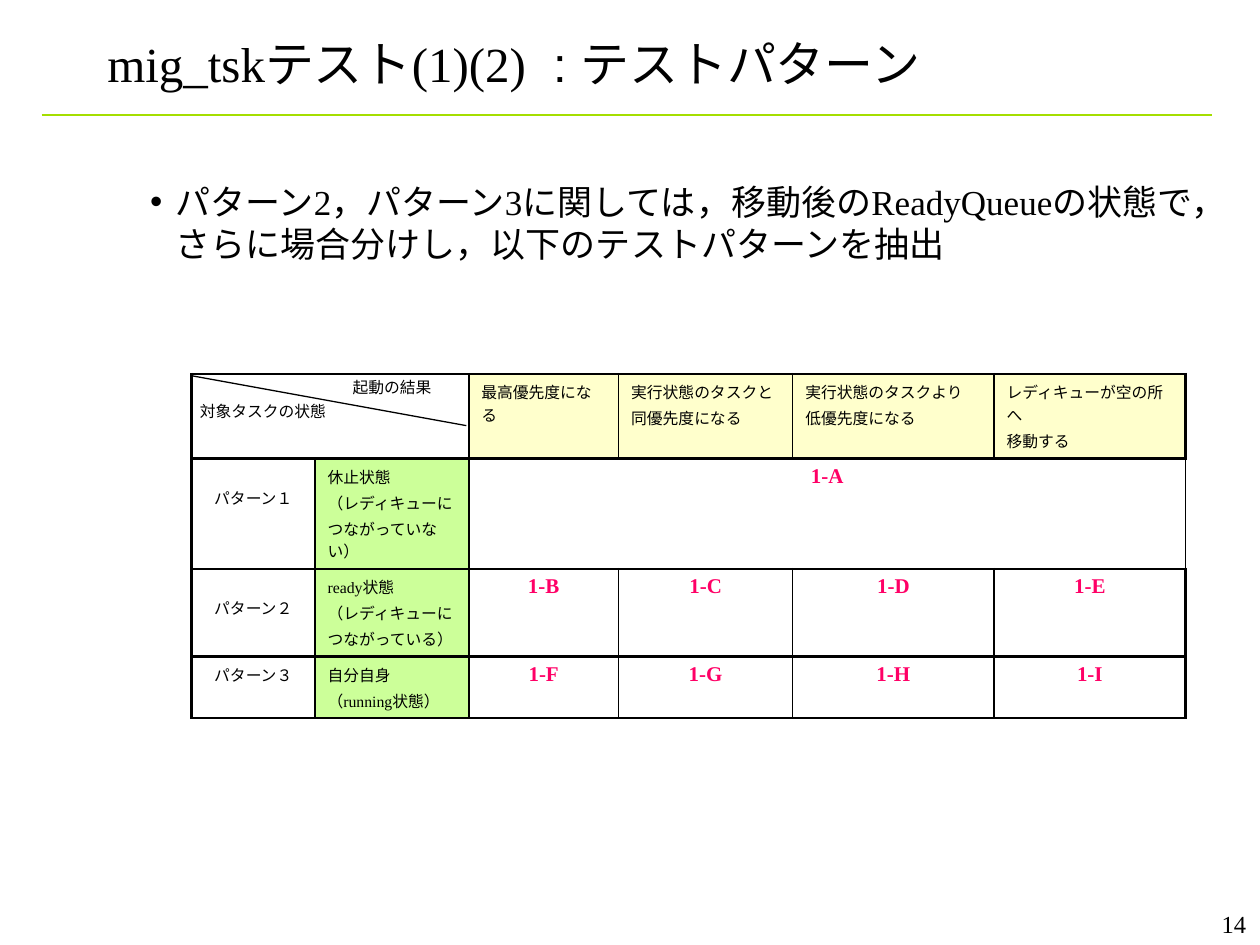
from lxml import etree
from pptx import Presentation
from pptx import util as u
from pptx.dml import color
from pptx.enum import shapes, text
from pptx.oxml import ns, xmlchemy

Cm, Pt = u.Cm, u.Pt
SERIF = "Times New Roman"
BLACK, PINK, YELLOW, GREEN, LIME = "000000", "FF0066", "FFFFCC", "CCFF99", "A4DE00"
LEFT, CENTER, RIGHT = text.PP_ALIGN.LEFT, text.PP_ALIGN.CENTER, text.PP_ALIGN.RIGHT

RESULTS = [
    ["最高優先度になる"],
    ["実行状態のタスクと", "同優先度になる"],
    ["実行状態のタスクより", "低優先度になる"],
    ["レディキューが空の所へ", "移動する"],
]
# pattern, its top margin in cm, task state, test cases
PATTERNS = [
    ("パターン１", 0.55, ["休止状態", "（レディキューに", "つながっていない）"], ["1-A"]),
    ("パターン２", 0.55, ["ready状態", "（レディキューに", "つながっている）"],
     ["1-B", "1-C", "1-D", "1-E"]),
    ("パターン３", 0.13, ["自分自身", "（running状態）"], ["1-F", "1-G", "1-H", "1-I"]),
]
COLUMN_WIDTHS = [2.49, 3.1, 3.02, 3.51, 4.06, 3.86]
ROW_HEIGHTS = [1.09, 1.55, 1.55, 1.12]


def rgb(hex_code):
    return color.RGBColor.from_string(hex_code)


def write(frame, paragraphs, size=9, hex_code=BLACK, bold=False, align=LEFT, before=0.0):
    """Fill a text frame; a paragraph is a string or a list of (string, font) runs."""
    for i, content in enumerate(paragraphs):
        paragraph = frame.paragraphs[0] if i == 0 else frame.add_paragraph()
        paragraph.alignment = align
        paragraph.space_before = Pt(size * before)
        runs = [(content, SERIF)] if isinstance(content, str) else content
        for words, font in runs:
            run = paragraph.add_run()
            run.text = words
            run.font.name = font
            run.font.size = Pt(size)
            run.font.bold = bold
            run.font.color.rgb = rgb(hex_code)


def place(shape, left, top, width, height):
    shape.left, shape.top, shape.width, shape.height = map(Cm, (left, top, width, height))


def add_label(slide, words, left, top, width, height, wrap=False, **style):
    label = slide.shapes.add_textbox(*map(Cm, (left, top, width, height)))
    label.text_frame.word_wrap = wrap
    write(label.text_frame, [words], **style)


def add_line(slide, x1, y1, x2, y2, hex_code, width):
    line = slide.shapes.add_connector(
        shapes.MSO_CONNECTOR.STRAIGHT, *map(Cm, (x1, y1, x2, y2)))
    line.line.color.rgb = rgb(hex_code)
    line.line.width = Pt(width)
    etree.SubElement(line._element.spPr, ns.qn("a:effectLst"))


def add_heading(slide, left, top, width, height):
    title = slide.shapes.title
    place(title, left, top, width, height)
    frame = title.text_frame
    frame.vertical_anchor = text.MSO_ANCHOR.MIDDLE
    frame.auto_size = text.MSO_AUTO_SIZE.NONE
    write(frame, [[("mig_tskテスト(1)(2)", SERIF), ("  : ", "Arial"),
                   ("テストパターン", SERIF)]], size=28)
    add_line(slide, 0.84, top + 1.68, 24.43, top + 1.68, LIME, 1.5)


def add_summary(slide, left, top, width, height):
    summary = slide.placeholders[1]
    place(summary, left, top, width, height)
    frame = summary.text_frame
    frame.auto_size = text.MSO_AUTO_SIZE.NONE
    write(frame, ["パターン2，パターン3に関しては，移動後のReadyQueueの状態で，"
                  "さらに場合分けし，以下のテストパターンを抽出"], size=20, before=0.2)
    properties = frame.paragraphs[0]._p.get_or_add_pPr()
    properties.set("marL", str(Cm(0.51)))
    properties.set("indent", str(-Cm(0.51)))
    etree.SubElement(properties, ns.qn("a:buChar")).set("char", "•")


def draw_borders(cell, widths):
    """Draw black borders, widths in points in the order left, right, top, bottom."""
    properties = cell._tc.get_or_add_tcPr()
    for i, (side, width) in enumerate(zip(("lnL", "lnR", "lnT", "lnB"), widths)):
        border = etree.Element(ns.qn(f"a:{side}"), w=str(Pt(width)))
        fill = etree.SubElement(border, ns.qn("a:solidFill"))
        etree.SubElement(fill, ns.qn("a:srgbClr"), val=BLACK)
        properties.insert(i, border)


def paint(cell, hex_code, alpha=None):
    cell.fill.solid()
    cell.fill.fore_color.rgb = rgb(hex_code)
    if alpha:
        shade = cell._tc.tcPr.find(".//" + ns.qn("a:srgbClr"))
        etree.SubElement(shade, ns.qn("a:alpha")).set("val", str(alpha * 1000))


def add_pattern_table(slide, left, top):
    size = (sum(COLUMN_WIDTHS), sum(ROW_HEIGHTS))
    table = slide.shapes.add_table(
        len(ROW_HEIGHTS), len(COLUMN_WIDTHS), *map(Cm, (left, top, *size))).table
    for column, width in zip(table.columns, COLUMN_WIDTHS):
        column.width = Cm(width)
    for row, height in zip(table.rows, ROW_HEIGHTS):
        row.height = Cm(height)

    last = len(COLUMN_WIDTHS) - 1
    for row in table.rows:
        for c, cell in enumerate(row.cells):
            cell.fill.background()
            draw_borders(cell, (1.5 if c == 0 else 1, 1.5 if c == last else 1, 1.5, 1.5))
    table.cell(0, 0).merge(table.cell(0, 1))
    table.cell(1, 2).merge(table.cell(1, last))

    for c, result in enumerate(RESULTS, start=2):
        header = table.cell(0, c)
        paint(header, YELLOW)
        write(header.text_frame, result, before=0.2)
    for r, (pattern, margin, state, cases) in enumerate(PATTERNS, start=1):
        pattern_cell, state_cell = table.cell(r, 0), table.cell(r, 1)
        pattern_cell.margin_top = Cm(margin)
        write(pattern_cell.text_frame, [pattern], align=CENTER, before=0.2)
        paint(state_cell, GREEN, alpha=50)
        write(state_cell.text_frame, state, before=0.2)
        for c, case in enumerate(cases, start=2):
            write(table.cell(r, c).text_frame, [case], size=12, hex_code=PINK,
                  bold=True, align=CENTER, before=0.2)

    add_label(slide, "対象タスクの状態", left - 0.08, top + 0.43, 3.05, 0.64)
    add_label(slide, "起動の結果", left + 3, top - 0.05, 2.11, 0.64)
    add_line(slide, left - 0.02, top + 0.03, left + 5.54, top + 1.04, BLACK, 0.75)


def main():
    deck = Presentation()
    deck.slide_width, deck.slide_height = Cm(25.4), Cm(19.05)
    slide = deck.slides.add_slide(deck.slide_layouts[1])
    add_heading(slide, 1.91, 0.64, 21.59, 1.27)
    add_summary(slide, 2.77, 3.51, 21.82, 2.18)
    add_pattern_table(slide, 3.86, 7.54)
    add_label(slide, "14", 20.09, 18.21, 5.28, 0.84, wrap=True, size=14, align=RIGHT)
    deck.save("out.pptx")


if __name__ == "__main__":
    main()
